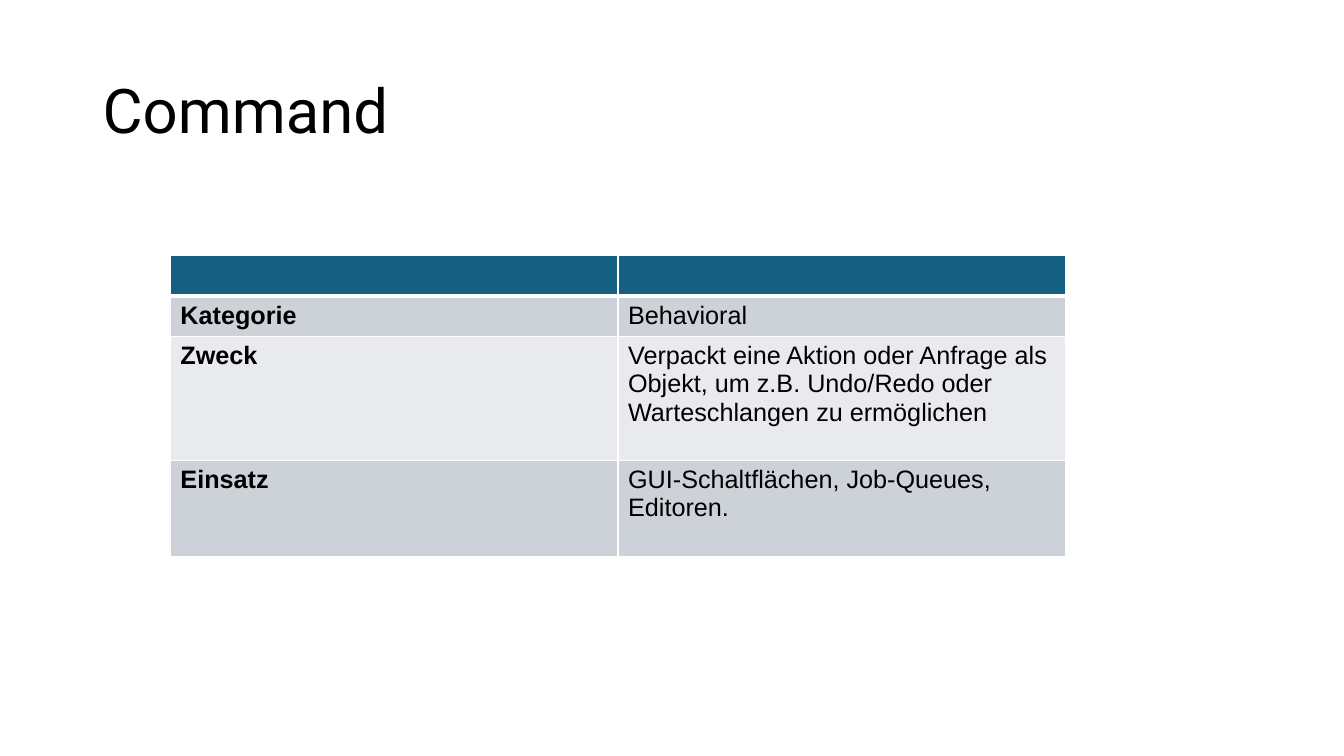
from dataclasses import dataclass

from lxml.etree import fromstring
from pptx import Presentation
from pptx.dml.color import RGBColor
from pptx.enum.text import MSO_ANCHOR
from pptx.oxml.ns import nsdecls
from pptx.slide import Slide
from pptx.table import _Cell
from pptx.util import Inches, Pt

BLACK, WHITE = "000000", "FFFFFF"
HEAD, DARK, LIGHT = "156082", "CCD2D8", "E8EAED"


@dataclass
class Row:
    label: str
    value: str
    fill: str
    height: float
    top: int = 1
    bottom: int = 1


ROWS = [
    Row("", "", HEAD, 0.41, bottom=3),
    Row("Kategorie", "Behavioral", DARK, 0.4, top=3),
    Row("Zweck", "Verpackt eine Aktion oder Anfrage als Objekt, um z.B. Undo/Redo "
        "oder Warteschlangen zu ermöglichen", LIGHT, 1.23),
    Row("Einsatz", "GUI-Schaltflächen, Job-Queues, Editoren.", DARK, 0.95),
]


def color(code: str) -> RGBColor:
    return RGBColor.from_string(code)


def style(font, form: dict) -> None:
    for name, value in form.items():
        setattr(font, name, value)
    font.color.rgb = color(BLACK)


def border(cell: _Cell, top: int, bottom: int) -> None:
    props = cell._tc.get_or_add_tcPr()
    sides = {"L": 1, "R": 1, "T": top, "B": bottom}
    for place, (side, width) in enumerate(sides.items()):
        props.insert(place, fromstring(
            f'<a:ln{side} {nsdecls("a")} w="{Pt(width)}"><a:solidFill>'
            f'<a:srgbClr val="{WHITE}"/></a:solidFill></a:ln{side}>'))


def add_title(slide: Slide, text: str) -> None:
    box = slide.shapes.add_textbox(Inches(0.92), Inches(0.4), Inches(11.5), Inches(1.45))
    frame = box.text_frame
    frame.word_wrap = True
    frame.vertical_anchor = MSO_ANCHOR.MIDDLE
    para = frame.paragraphs[0]
    para.line_spacing = 0.9
    run = para.add_run()
    run.text = text
    style(run.font, {"name": "Roboto", "size": Pt(44)})


def add_grid(slide: Slide, rows: list[Row]) -> None:
    total = sum(row.height for row in rows)
    table = slide.shapes.add_table(
        len(rows), 2, Inches(1.69), Inches(2.53), Inches(8.88), Inches(total)).table
    for line, row in zip(table.rows, rows):
        line.height = Inches(row.height)
        for cell, text, bold in zip(line.cells, (row.label, row.value), (True, False)):
            cell.fill.solid()
            cell.fill.fore_color.rgb = color(row.fill)
            border(cell, row.top, row.bottom)
            para = cell.text_frame.paragraphs[0]
            para.text = text
            style(para.font, {"name": "Arial", "size": Pt(18), "bold": bold})
            for run in para.runs:
                style(run.font, {"name": "Arial", "size": Pt(18), "bold": bold})


def main() -> None:
    deck = Presentation()
    deck.slide_width, deck.slide_height = Inches(13.33), Inches(7.5)
    slide = deck.slides.add_slide(deck.slide_layouts[6])
    add_title(slide, "Command")
    add_grid(slide, ROWS)
    deck.save("out.pptx")


if __name__ == "__main__":
    main()
